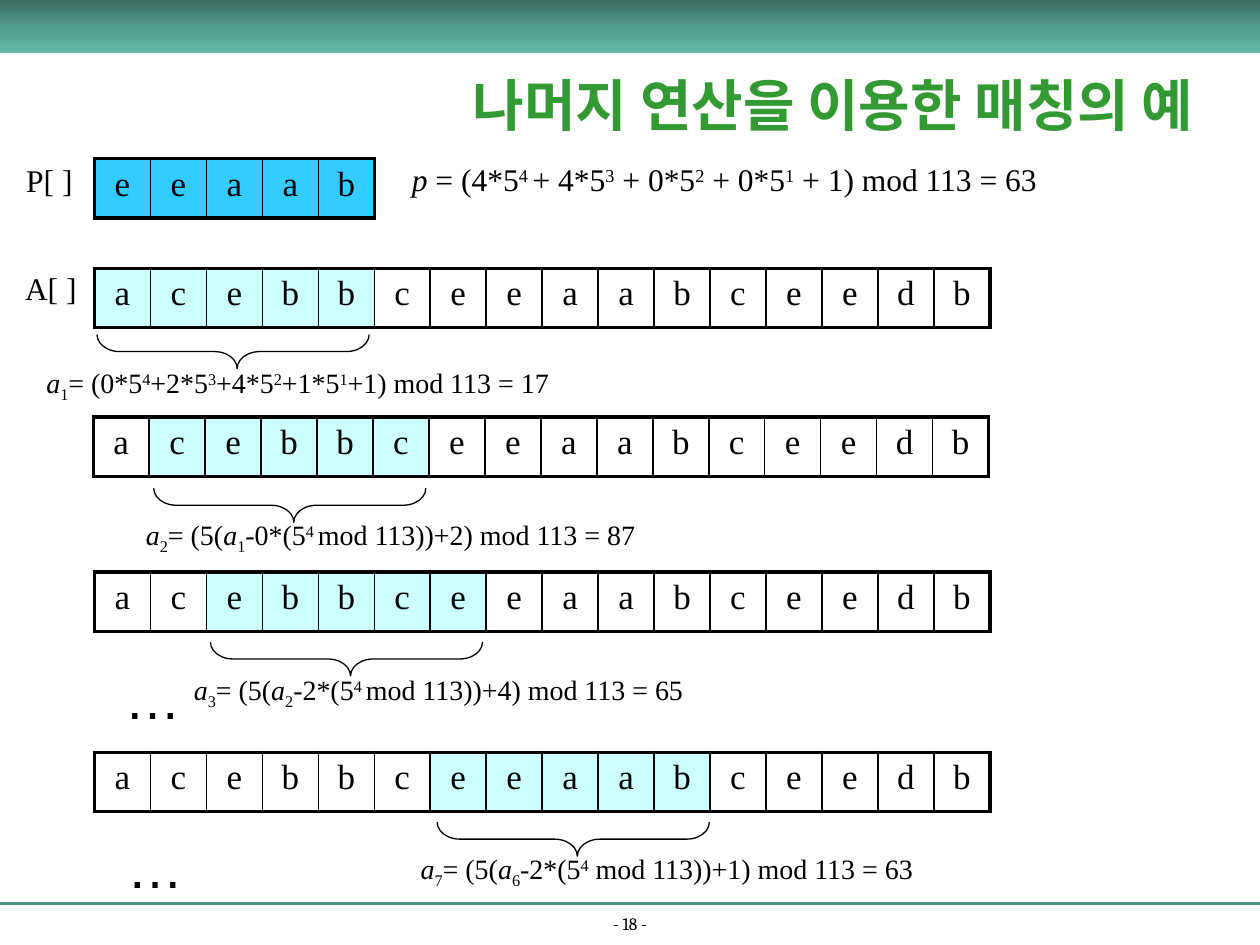
import copy

import pptx
import pptx.dml.color
import pptx.enum.shapes
import pptx.enum.text
import pptx.oxml
import pptx.oxml.ns
import pptx.util
from pptx.util import Inches

# Content
TITLE = "나머지 연산을 이용한 매칭의 예"
PAGE = "- 18 -"
PATTERN = "eeaab"
TEXT = "acebbceeaabceedb"
SERIF = "Times New Roman"
BLACK, GREEN = "000000", "339933"
PATTERN_FILL, WINDOW_FILL = "33CCFF", "CCFFFF"

# Formula pieces split at "|": ~ italic, _ subscript, ^ superscript
PATTERN_HASH = "~p| = (4*5|^4 |+ 4*5|^3| + 0*5|^2| + 0*5|^1| + 1) mod 113 = 63"
# window start, table left and top, brace middle, formula left, top, width, formula
STEPS = [
    (0, 0.75, 2.13, 2.79, 0.27, 2.88, 4.27,
     "~a|_1|= (0*5|^4|+2*5|^3|+4*5|^2|+1*5|^1|+1) mod 113 = 17"),
    (1, 0.74, 3.31, 4.01, 1.06, 4.09, 4.16,
     "~a|_2|= (5(|~a|_1|-0*(5|^4 |mod 113))+2) mod 113 = 87"),
    (2, 0.75, 4.54, 5.23, 1.44, 5.32, 4.16,
     "~a|_3|= (5(|~a|_2|-2*(5|^4 |mod 113))+4) mod 113 = 65"),
    (6, 0.75, 5.97, 6.66, 3.24, 6.74, 4.18,
     "~a|_7|= (5(|~a|_6|-2*(5|^4| mod 113))+1) mod 113 = 63"),
]
# text, left, top, width, height, size, font
LABELS = [
    ("P[ ]", 0.11, 1.29, 0.57, 0.4, 18, SERIF),
    ("A[ ]", 0.1, 2.14, 0.61, 0.4, 18, SERIF),
    ("…", 0.89, 5.32, 0.65, 0.63, 32, "Arial"),
    ("…", 0.91, 6.66, 0.65, 0.63, 32, "Arial"),
    (PATTERN_HASH, 3.17, 1.28, 5.22, 0.4, 18, SERIF),
]
CELL_W, CELL_H = 7.11 / len(TEXT), 0.47
BRACE_W, BRACE_H = 0.27, 2.16
BASELINES = {"_": "-25000", "^": "30000"}


def rgb(color):
    return pptx.dml.color.RGBColor.from_string(color)


def style(r, size, font, color=BLACK, bold=False):
    r.font.size = pptx.util.Pt(size)
    r.font.name = font
    r.font.bold = bold
    r.font.color.rgb = rgb(color)


def add_text(s, text, left, top, width, height, size, font):
    tf = s.shapes.add_textbox(*map(Inches, (left, top, width, height))).text_frame
    tf.word_wrap = False
    tf.auto_size = pptx.enum.text.MSO_AUTO_SIZE.SHAPE_TO_FIT_TEXT
    p = tf.paragraphs[0]
    p.line_spacing = 0.8
    for piece in text.split("|"):
        mark = piece[0] if piece[0] in "~_^" else ""
        r = p.add_run()
        r.text = piece[len(mark):]
        style(r, size, font)
        r.font.italic = mark == "~"
        if mark in BASELINES:
            r._r.get_or_add_rPr().set("baseline", BASELINES[mark])
    return tf


def set_borders(cell, widths):
    tcPr = cell._tc.get_or_add_tcPr()
    for side, width in zip("LRTB", widths):
        tcPr.append(pptx.oxml.parse_xml(
            f'<a:ln{side} {pptx.oxml.ns.nsdecls("a")} w="{int(width * 12700)}">'
            f'<a:solidFill><a:srgbClr val="{BLACK}"/></a:solidFill></a:ln{side}>'))


def add_array(s, letters, left, top, start, color):
    """One row of letters with a window of the pattern's length filled."""
    count = len(letters)
    table = s.shapes.add_table(1, count, Inches(left), Inches(top),
                               Inches(CELL_W * count), Inches(CELL_H)).table
    table.first_row = table.horz_banding = False
    for i, letter in enumerate(letters):
        table.columns[i].width = Inches(CELL_W)
        cell = table.cell(0, i)
        set_borders(cell, (2.25 if i == 0 else 1,
                           2.25 if i == count - 1 else 1, 2.25, 2.25))
        if start <= i < start + len(PATTERN):
            cell.fill.solid()
            cell.fill.fore_color.rgb = rgb(color)
        else:
            cell.fill.background()
        p = cell.text_frame.paragraphs[0]
        p.text = letter
        p.alignment = pptx.enum.text.PP_ALIGN.CENTER
        style(p.runs[0], 20, SERIF)


def add_brace(s, start, middle):
    center = 1.85 + 0.45 * start
    sp = s.shapes.add_shape(
        pptx.enum.shapes.MSO_SHAPE.LEFT_BRACE,
        Inches(center - BRACE_W / 2), Inches(middle - BRACE_H / 2),
        Inches(BRACE_W), Inches(BRACE_H))
    sp.rotation = 270
    sp.adjustments[0], sp.adjustments[1] = 0.665, 0.515
    sp.shadow.inherit = False
    sp.fill.background()
    sp.line.color.rgb = rgb(BLACK)
    sp.line.width = pptx.util.Pt(0.75)


prs = pptx.Presentation()
prs.slide_width, prs.slide_height = Inches(10), Inches(7.5)
s = prs.slides.add_slide(prs.slide_layouts[5])

# Top band with a three-stop gradient
band = s.shapes.add_shape(pptx.enum.shapes.MSO_SHAPE.RECTANGLE,
                          0, 0, Inches(10), Inches(0.42))
band.shadow.inherit = False
band.line.fill.background()
band.fill.gradient()
band.fill.gradient_angle = 270
stops = band._element.spPr.find(".//" + pptx.oxml.ns.qn("a:gsLst"))
stops.insert(1, copy.deepcopy(stops[0]))
for stop, position, color in zip(band.fill.gradient_stops, (0, 0.5, 1),
                                 ("3A6D62", "539C8B", "62B9A5")):
    stop.position = position
    stop.color.rgb = rgb(color)

# Footer rule and page number
rule = s.shapes.add_connector(pptx.enum.shapes.MSO_CONNECTOR.STRAIGHT,
                              0, Inches(7.17), Inches(10), Inches(7.17))
rule.line.color.rgb = rgb("4C9282")
rule.line.width = pptx.util.Pt(1.5)
rule._element.spPr.append(pptx.oxml.parse_xml(
    f'<a:effectLst {pptx.oxml.ns.nsdecls("a")}/>'))
tf = add_text(s, PAGE, 0, 7.24, 10, 0.22, 10, "Cambria")
tf.word_wrap = True
tf.auto_size = pptx.enum.text.MSO_AUTO_SIZE.NONE
tf.vertical_anchor = pptx.enum.text.MSO_ANCHOR.BOTTOM
tf.paragraphs[0].alignment = pptx.enum.text.PP_ALIGN.CENTER

# Title
title = s.shapes.title
title.left, title.top, title.width, title.height = map(
    Inches, (3.29, 0.49, 6.65, 0.78))
title.text_frame.text = TITLE
title.text_frame.vertical_anchor = pptx.enum.text.MSO_ANCHOR.MIDDLE
p = title.text_frame.paragraphs[0]
p.alignment = pptx.enum.text.PP_ALIGN.CENTER
p.line_spacing = 0.8
style(p.runs[0], 32, "Cambria", GREEN, True)

# Pattern, then one array, brace and formula for each step
add_array(s, PATTERN, 0.75, 1.26, 0, PATTERN_FILL)
for start, left, top, middle, text_left, text_top, width, formula in STEPS:
    add_array(s, TEXT, left, top, start, WINDOW_FILL)
    add_brace(s, start, middle)
    add_text(s, formula, text_left, text_top, width, 0.37, 16, SERIF)
for label in LABELS:
    add_text(s, *label)

prs.save("out.pptx")
